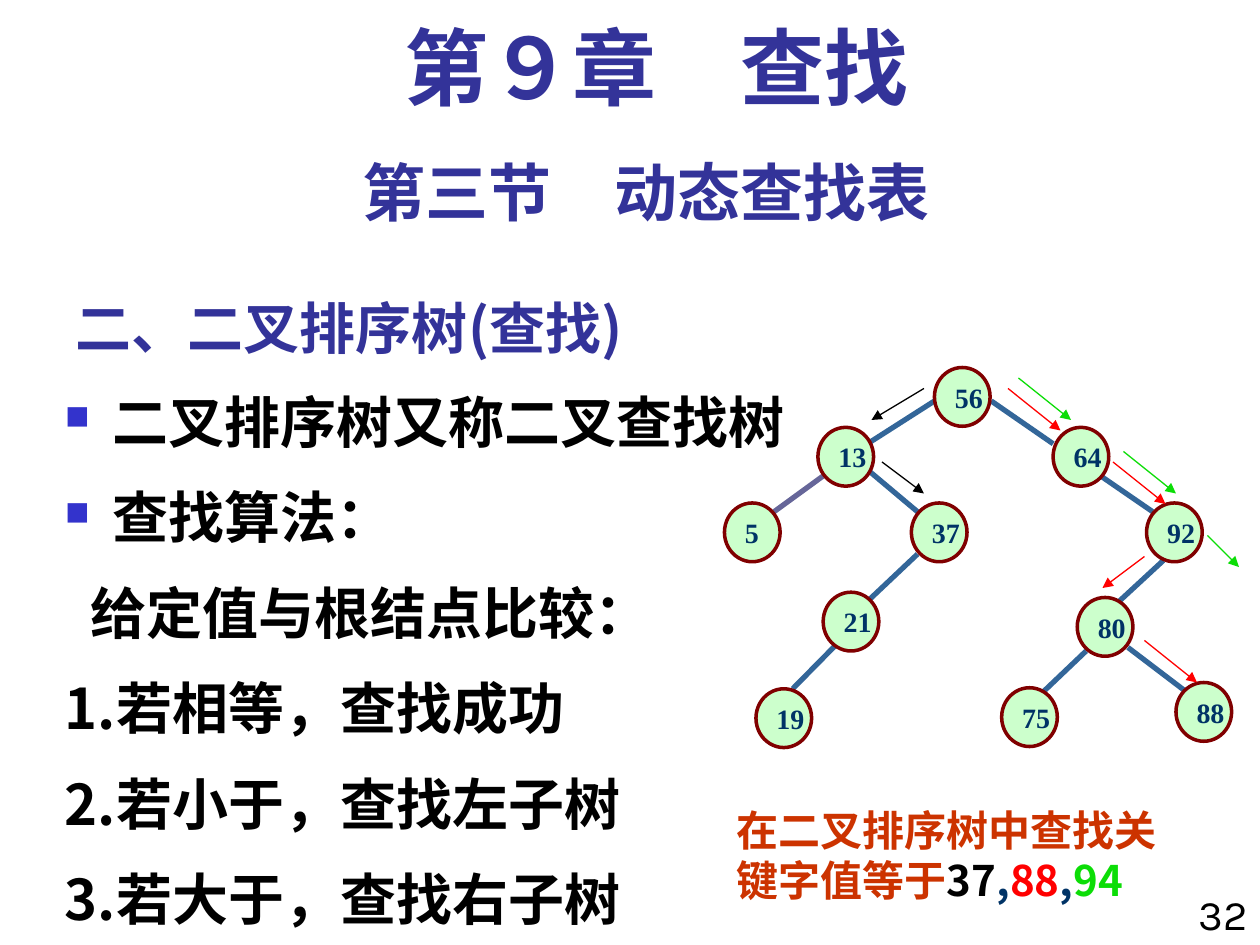
from dataclasses import dataclass
from typing import NamedTuple

from lxml.etree import SubElement
from pptx import Presentation
from pptx.dml.color import RGBColor
from pptx.enum.shapes import MSO_CONNECTOR as Connector, MSO_SHAPE as Shape
from pptx.enum.text import MSO_ANCHOR as Anchor, MSO_AUTO_SIZE as AutoSize, PP_ALIGN as Align
from pptx.oxml.ns import qn
from pptx.util import Inches, Pt

CELL = Inches(1) / 12  # the slide is a grid of 120 columns and 90 rows
COLUMNS, ROWS = 120, 90


@dataclass(frozen=True)
class Theme:
    cjk: str = "Noto Sans CJK SC"
    serif: str = "Times New Roman"
    sans: str = "Karla"
    heading: str = "333399"
    ink: str = "000000"
    bullet: str = "3333CC"
    caption: str = "CC3300"
    key: str = "003366"
    node_fill: str = "CCFFCC"
    node_line: str = "800000"
    edge: str = "336699"
    pale_edge: str = "666699"
    red: str = "FF0000"
    green: str = "0CDD07"
    chapter_size: int = 48
    section_size: int = 36
    body_size: int = 32
    small_size: int = 24
    key_size: int = 16


THEME = Theme()


class Box(NamedTuple):
    left: float
    top: float
    width: float
    height: float

    def emu(self):
        return [round(value * CELL) for value in self]


# Key: left, top of the node in grid cells from the corner of the tree
NODE_WIDTH, NODE_HEIGHT = 5.3, 5.6
NODES = {
    "56": (20, 0), "13": (8.9, 5.7), "64": (31.3, 5.7),
    "5": (0, 12.9), "37": (17.8, 12.9), "92": (40.2, 12.9),
    "21": (9.4, 21.4), "80": (33.6, 21.9),
    "19": (3, 30.6), "75": (26.4, 30.5), "88": (43, 30),
}
# Parent, child, then the exit and entry points as shares of a node
EDGES = [
    ("56", "13", (0, 0.57), (0.89, 0.28)),
    ("13", "5", (0.09, 0.83), (0.89, 0.15)),
    ("56", "64", (1.02, 0.57), (0, 0.28)),
    ("13", "37", (0.89, 0.72), (0.11, 0.15)),
    ("37", "21", (0.11, 0.87), (0.59, 0.34)),
    ("64", "92", (0.89, 0.85), (0.11, 0.15)),
    ("92", "80", (0.3, 0.98), (0.68, 0.13)),
    ("80", "88", (0.91, 0.85), (0.2, 0.17)),
    ("21", "19", (0.34, 0.79), (0.66, 0)),
    ("80", "75", (0.16, 0.91), (0.68, 0.13)),
]
# Search steps by colour: from column, row to column, row within the tree
SEARCHES = {
    THEME.ink: [(19, 2, 14, 5), (15, 9, 19, 12)],
    THEME.red: [(27, 2, 32, 6), (37, 9, 42, 13), (40, 18, 36, 21), (40, 26, 45, 30)],
    THEME.green: [(28, 1, 33, 5), (38, 8, 43, 12), (46, 16, 49, 19)],
}
# Text, bulleted, first-line offset in inches from the hanging position
BODY = [
    ("二叉排序树又称二叉查找树", True, 0),
    ("查找算法：", True, 0),
    ("给定值与根结点比较：", False, 0.2),
    ("1.若相等，查找成功", False, 0),
    ("2.若小于，查找左子树", False, 0),
    ("3.若大于，查找右子树", False, 0),
]
HANGING = 0.38


def add_run(paragraph, text, size, color, face=THEME.cjk, bold=True):
    run = paragraph.add_run()
    run.text = text
    for attribute, value in {"size": Pt(size), "bold": bold, "name": face}.items():
        setattr(run.font, attribute, value)
    run.font.color.rgb = RGBColor.from_string(color)
    SubElement(run.font._element, qn("a:ea"), typeface=THEME.cjk)


def add_text_frame(slide, box):
    frame = slide.shapes.add_textbox(*box.emu()).text_frame
    frame.word_wrap = True
    return frame


def add_line(slide, start, end, color, width, arrow=False):
    points = [round(value * CELL) for value in (*start, *end)]
    connector = slide.shapes.add_connector(Connector.STRAIGHT, *points)
    connector.line.color.rgb = RGBColor.from_string(color)
    connector.line.width = Pt(width)
    if arrow:
        SubElement(connector.line._get_or_add_ln(), qn("a:tailEnd"), type="triangle")
    SubElement(connector._element.spPr, qn("a:effectLst"))


def add_topic(slide, box):
    title = slide.shapes.title
    for attribute, value in zip(("left", "top", "width", "height"), box.emu()):
        setattr(title, attribute, value)
    frame = title.text_frame
    frame.auto_size, frame.vertical_anchor = AutoSize.NONE, Anchor.BOTTOM
    paragraph = frame.paragraphs[0]
    paragraph.alignment = Align.LEFT
    add_run(paragraph, "二、二叉排序树(查找)", THEME.body_size, THEME.heading)


def add_label(slide, box, text, size, color, face, align, spacing=1.0, bold=True):
    paragraph = add_text_frame(slide, box).paragraphs[0]
    paragraph.alignment, paragraph.line_spacing = align, spacing
    add_run(paragraph, text, size, color, face, bold)


def add_body(slide, box):
    frame = add_text_frame(slide, box)
    for index, (text, bulleted, offset) in enumerate(BODY):
        paragraph = frame.add_paragraph() if index else frame.paragraphs[0]
        properties = paragraph._p.get_or_add_pPr()
        properties.set("marL", str(Inches(HANGING)))
        properties.set("indent", str(Inches(offset - HANGING)))
        if bulleted:
            color = SubElement(properties, qn("a:buClr"))
            SubElement(color, qn("a:srgbClr"), val=THEME.bullet)
            SubElement(properties, qn("a:buSzPct"), val="60000")
            SubElement(properties, qn("a:buChar"), char="■")
        paragraph.line_spacing = 0.9
        if index:
            paragraph.space_before = Pt(20)
        add_run(paragraph, text, THEME.body_size, THEME.ink)


def add_node(slide, box, key):
    node = slide.shapes.add_shape(Shape.OVAL, *box.emu())
    node.shadow.inherit = False
    node.fill.solid()
    node.fill.fore_color.rgb = RGBColor.from_string(THEME.node_fill)
    node.line.color.rgb = RGBColor.from_string(THEME.node_line)
    node.line.width = Pt(2)
    frame = node.text_frame
    frame.word_wrap, frame.vertical_anchor = False, Anchor.MIDDLE
    frame.paragraphs[0].alignment = Align.LEFT
    add_run(frame.paragraphs[0], key, THEME.key_size, THEME.key, THEME.serif)


def add_tree(slide, box):
    corners = {key: (box.left + x, box.top + y) for key, (x, y) in NODES.items()}

    def point_on(key, share):
        left, top = corners[key]
        return left + share[0] * NODE_WIDTH, top + share[1] * NODE_HEIGHT

    for parent, child, leaving, entering in EDGES:
        color = THEME.pale_edge if child == "5" else THEME.edge
        add_line(slide, point_on(parent, leaving), point_on(child, entering), color, 3)
    for key, corner in corners.items():
        add_node(slide, Box(*corner, NODE_WIDTH, NODE_HEIGHT), key)
    for color, steps in SEARCHES.items():
        for x1, y1, x2, y2 in steps:
            add_line(slide, (box.left + x1, box.top + y1),
                     (box.left + x2, box.top + y2), color, 0.75, arrow=True)


def add_caption(slide, box):
    paragraph = add_text_frame(slide, box).paragraphs[0]
    for text, color in [("在二叉排序树中查找关键字值等于", THEME.caption),
                        ("37", THEME.ink), (",", THEME.key),
                        ("88", THEME.red), (",", THEME.key), ("94", THEME.green)]:
        add_run(paragraph, text, THEME.small_size, color)


def main():
    deck = Presentation()
    deck.slide_width, deck.slide_height = round(COLUMNS * CELL), round(ROWS * CELL)
    slide = deck.slides.add_slide(deck.slide_layouts[5])
    add_topic(slide, Box(6, 26, 75, 9))
    add_label(slide, Box(112, 84, 8, 7), "32", THEME.small_size, THEME.ink,
              THEME.sans, Align.RIGHT, bold=False)
    add_label(slide, Box(6, 14, 111, 8.4), "第三节　动态查找表", THEME.section_size,
              THEME.heading, THEME.sans, Align.CENTER)
    add_body(slide, Box(5, 37, 115, 53))
    add_label(slide, Box(8, 2, 109, 10), "第９章　查找", THEME.chapter_size,
              THEME.heading, THEME.serif, Align.CENTER, spacing=0.9)
    add_caption(slide, Box(69, 76, 46, 10.8))
    add_tree(slide, Box(69, 35, 49, 36.2))
    deck.save("out.pptx")


if __name__ == "__main__":
    main()
